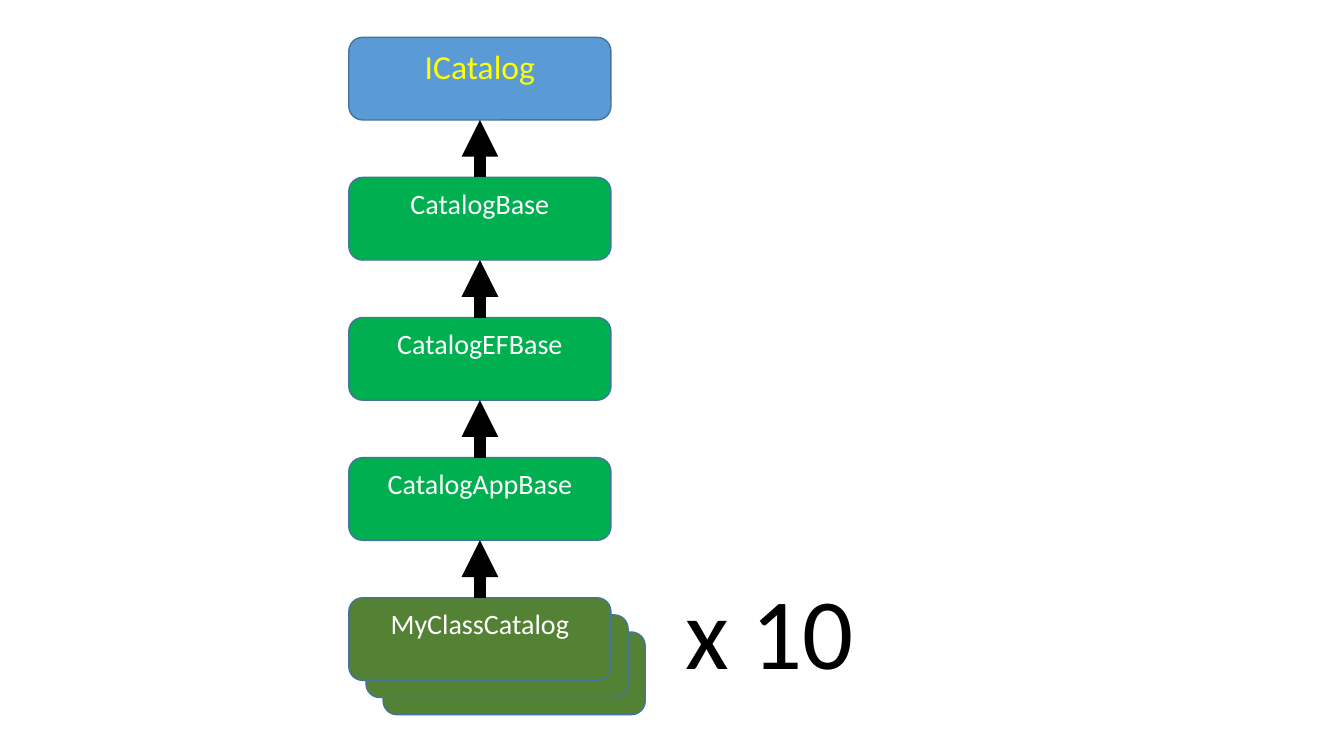
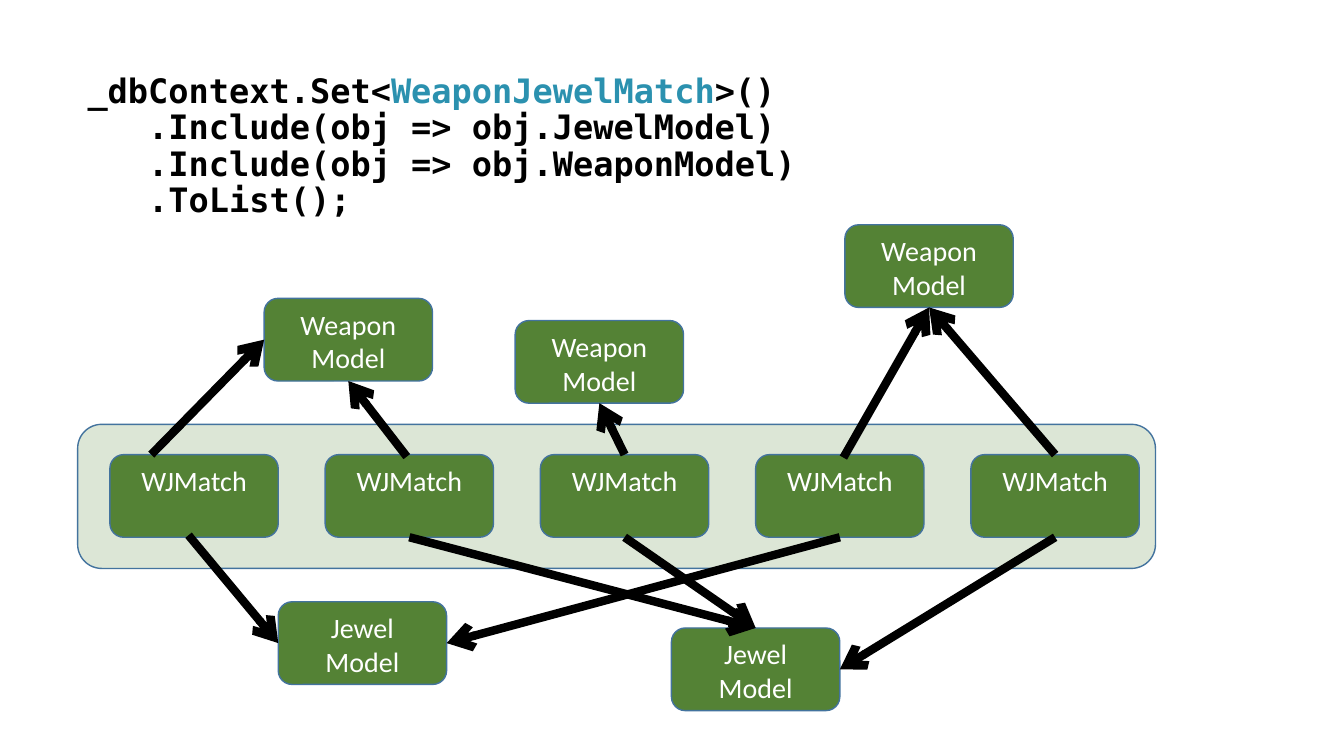
import pptx
import pptx.dml.color
import pptx.enum.shapes
import pptx.enum.text
import pptx.oxml
import pptx.oxml.ns
import pptx.util

Inches = pptx.util.Inches
Pt = pptx.util.Pt
qn = pptx.oxml.ns.qn
ANCHOR = pptx.enum.text.MSO_ANCHOR
ALIGN = pptx.enum.text.PP_ALIGN

COLORS = {
    "class": "548235",
    "base": "00B050",
    "interface": "5B9BD5",
    "outline": "43739E",
    "white": "FFFFFF",
    "yellow": "FFFF00",
    "black": "000000",
    "type": "2B91AF",
}
BODY_FONT = "Calibri"
CODE_FONT = "DejaVu Sans Mono"
BOX_H = 0.82
TOP, LEFT, BOTTOM, RIGHT = range(4)


def rgb(name):
    return pptx.dml.color.RGBColor.from_string(COLORS[name])


def add_run(p, text, size, color, font=BODY_FONT, bold=False):
    r = p.add_run()
    r.text = text
    r.font.size = Pt(size)
    r.font.name = font
    r.font.bold = bold
    r.font.color.rgb = rgb(color)


def add_box(slide, left, top, width, height=BOX_H, lines=(), fill="class",
            size=20, color="white", alpha=None):
    """Add a rounded box with centred lines at its top; alpha is a percentage."""
    sp = slide.shapes.add_shape(
        pptx.enum.shapes.MSO_SHAPE.ROUNDED_RECTANGLE,
        Inches(left), Inches(top), Inches(width), Inches(height))
    sp.shadow.inherit = False
    sp.fill.solid()
    sp.fill.fore_color.rgb = rgb(fill)
    if alpha is not None:
        clr = sp.fill._xPr.find(qn("a:solidFill"))[0]
        clr.append(pptx.oxml.parse_xml(
            '<a:alpha xmlns:a="http://schemas.openxmlformats.org/drawingml/2006/main"'
            f' val="{alpha * 1000}"/>'))
    sp.line.color.rgb = rgb("outline")
    sp.line.width = Pt(1)
    tf = sp.text_frame
    tf.word_wrap = True
    tf.vertical_anchor = ANCHOR.TOP
    for i, line in enumerate(lines):
        p = tf.add_paragraph() if i else tf.paragraphs[0]
        p.alignment = ALIGN.CENTER
        add_run(p, line, size, color)
    return sp


def add_arrow(slide, source, start, target, side, width, head):
    """Join source to a side of target; start is a side or an (x, y) offset in source."""
    free = isinstance(start, tuple)
    x, y = start if free else (0, 0)
    cx = slide.shapes.add_connector(
        pptx.enum.shapes.MSO_CONNECTOR.STRAIGHT,
        source.left + Inches(x), source.top + Inches(y), target.left, target.top)
    if not free:
        cx.begin_connect(source, start)
    cx.end_connect(target, side)
    cx.line.color.rgb = rgb("black")
    cx.line.width = Pt(width)
    ln = cx.line._get_or_add_ln()
    ln.append(ln.makeelement(qn("a:tailEnd"), {"type": head}))
    sp_pr = cx._element.spPr
    sp_pr.append(sp_pr.makeelement(qn("a:effectLst"), {}))


def add_inheritance(slide, left, top):
    """Add the chain of classes, each pointing at its parent above."""
    width, step, offset = 2.6, 1.39, 0.17
    chain = [
        ("ICatalog", "interface", 24, "yellow"),
        ("CatalogBase", "base", 20, "white"),
        ("CatalogEFBase", "base", 20, "white"),
        ("CatalogAppBase", "base", 20, "white"),
        ("MyClassCatalog", "class", 20, "white"),
    ]
    last_top = top + (len(chain) - 1) * step
    for i in (2, 1):
        add_box(slide, left + i * offset, last_top + i * offset, width)
    boxes = [add_box(slide, left, top + i * step, width, lines=[name],
                     fill=fill, size=size, color=color)
             for i, (name, fill, size, color) in enumerate(chain)]
    for parent, child in zip(boxes, boxes[1:]):
        add_arrow(slide, child, TOP, parent, BOTTOM, 8.75, "triangle")


def add_count(slide, left, top, width, height):
    tb = slide.shapes.add_textbox(Inches(left), Inches(top), Inches(width), Inches(height))
    tf = tb.text_frame
    tf.word_wrap = False
    tf.auto_size = pptx.enum.text.MSO_AUTO_SIZE.SHAPE_TO_FIT_TEXT
    add_run(tf.paragraphs[0], "x 10", 72, "black")


def add_code(slide, left, top, width, height):
    lines = [
        [("_dbContext.Set<", "black"), ("WeaponJewelMatch", "type"), (">()", "black")],
        [("   .Include(obj => obj.JewelModel)", "black")],
        [("   .Include(obj => obj.WeaponModel)", "black")],
        [("   .ToList();", "black")],
    ]
    tb = slide.shapes.add_textbox(Inches(left), Inches(top), Inches(width), Inches(height))
    tf = tb.text_frame
    tf.word_wrap = True
    for i, line in enumerate(lines):
        p = tf.add_paragraph() if i else tf.paragraphs[0]
        p.line_spacing = 0.9
        for text, color in line:
            add_run(p, text, 24, color, CODE_FONT, True)


def add_matches(slide, left, top, width, height):
    """Add the panel of matches and the models that they refer to."""
    box_w, step = 1.67, 2.135
    add_box(slide, left, top, width, height, alpha=20)
    matches = [add_box(slide, left + 0.32 + i * step, top + 0.3, box_w, lines=["WJMatch"])
               for i in range(5)]
    models = [add_box(slide, left + x, top + y, box_w, lines=[kind, "Model"])
              for kind, x, y in [("Weapon", 1.85, -1.25), ("Weapon", 4.34, -1.03),
                                 ("Weapon", 7.61, -1.98), ("Jewel", 1.99, 1.76),
                                 ("Jewel", 5.89, 2.02)]]
    weapon_1, weapon_2, weapon_3, jewel_1, jewel_2 = models
    links = [
        (0, (0.41, 0), weapon_1, LEFT),
        (0, (0.78, 0.8), jewel_1, LEFT),
        (1, (0.81, 0.02), weapon_1, BOTTOM),
        (1, BOTTOM, jewel_2, TOP),
        (2, TOP, weapon_2, BOTTOM),
        (2, BOTTOM, jewel_2, TOP),
        (3, (0.87, 0.03), weapon_3, BOTTOM),
        (4, TOP, weapon_3, BOTTOM),
        (3, BOTTOM, jewel_1, RIGHT),
        (4, BOTTOM, jewel_2, RIGHT),
    ]
    for i, start, model, side in links:
        add_arrow(slide, matches[i], start, model, side, 6, "arrow")


def main():
    prs = pptx.Presentation()
    prs.slide_width = Inches(13.33)
    prs.slide_height = Inches(7.5)
    blank = prs.slide_layouts[6]

    slide = prs.slides.add_slide(blank)
    add_inheritance(slide, 3.46, 0.37)
    add_count(slide, 6.7, 5.59, 1.89, 1.31)

    slide = prs.slides.add_slide(blank)
    add_code(slide, 0.77, 0.69, 10.94, 2.18)
    add_matches(slide, 0.77, 4.21, 10.69, 1.43)

    prs.save("out.pptx")


if __name__ == "__main__":
    main()
